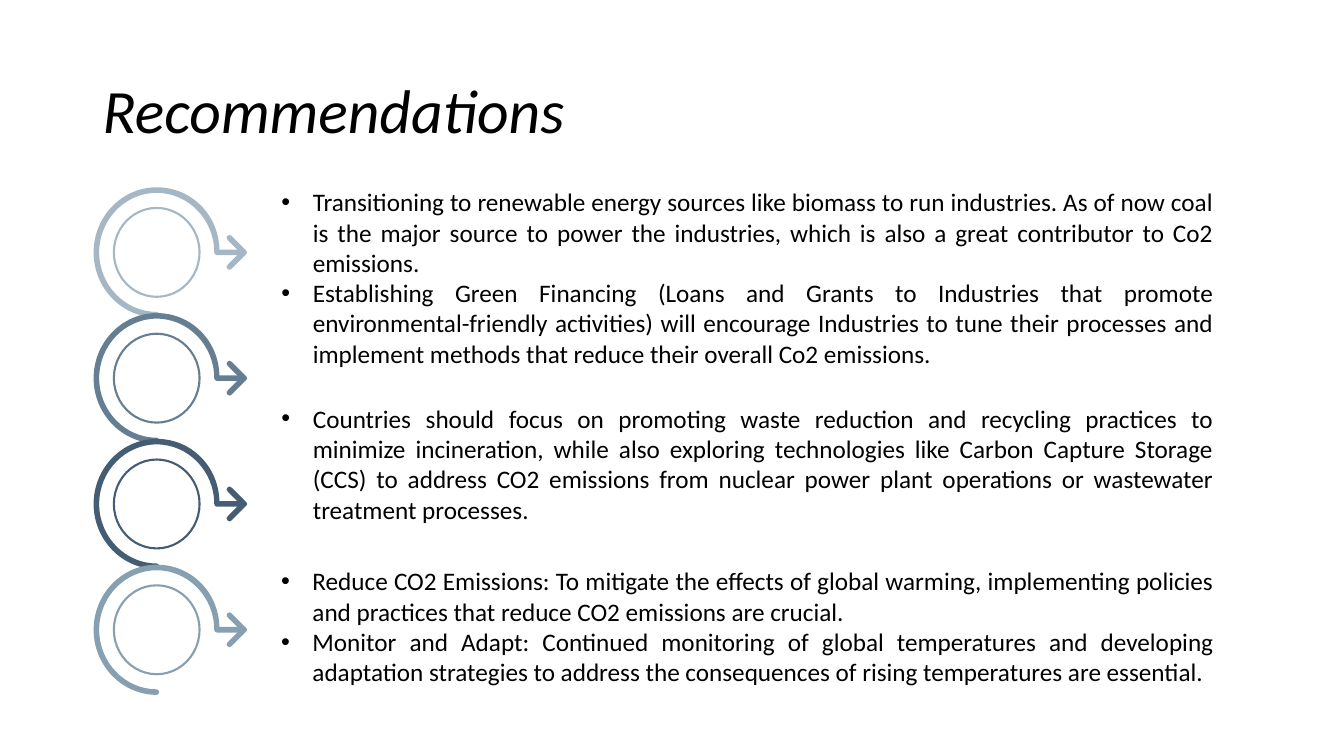
from itertools import chain
from math import cos, radians, sin

from lxml.etree import SubElement
from pptx import Presentation
from pptx.dml.color import RGBColor
from pptx.enum.shapes import MSO_SHAPE
from pptx.enum.text import MSO_ANCHOR as Anchor, MSO_AUTO_SIZE as AutoSize, PP_ALIGN as Align
from pptx.oxml.ns import qn
from pptx.util import Cm, Pt

COLORS = {
    "text": "000000",
    "steps": ["A5B7C5", "667E92", "445D73", "869FB1"],
}
FONT = "Calibri"
CENTER_X, FIRST_CENTER_Y, STEP_PITCH = 3.95, 6.36, 3.17
HALF_ARROWHEAD = [
    (2.28, 0), (2.26, -0.04), (1.89, -0.41), (1.84, -0.44), (1.79, -0.42),
    (1.76, -0.37), (1.79, -0.31), (2.04, -0.06), (2.12, 0),
]
RECOMMENDATIONS = [
    ((6.84, 4.58, 24, 4.95), [
        "Transitioning to renewable energy sources like biomass to run industries. "
        "As of now coal is the major source to power the industries, which is also "
        "a great contributor to Co2 emissions.",
        "Establishing Green Financing (Loans and Grants to Industries that promote "
        "environmental-friendly activities) will encourage Industries to tune their "
        "processes and implement methods that reduce their overall Co2 emissions.",
    ]),
    ((6.84, 10.03, 24, 4.11), [
        "Countries should focus on promoting waste reduction and recycling practices "
        "to minimize incineration, while also exploring technologies like Carbon "
        "Capture Storage (CCS) to address CO2 emissions from nuclear power plant "
        "operations or wastewater treatment processes.",
    ]),
    ((6.83, 14.13, 24.02, 3.33), [
        "Reduce CO2 Emissions: To mitigate the effects of global warming, "
        "implementing policies and practices that reduce CO2 emissions are crucial.",
        "Monitor and Adapt: Continued monitoring of global temperatures and "
        "developing adaptation strategies to address the consequences of rising "
        "temperatures are essential.",
    ]),
]


def quarter(radius_x, radius_y, start, turn):
    def around(angle, lean):
        a = radians(angle)
        return radius_x * (cos(a) - lean * sin(a)), radius_y * (sin(a) + lean * cos(a))

    end = start + 90 * turn
    return [around(start, 0.55 * turn), around(end, -0.55 * turn), around(end, 0)]


def curl_outline():
    outer = [quarter(1.59, 1.64, angle, 1) for angle in (90, 180)]
    shoulder = [(0.87, -1.64), (1.56, -0.95), (1.58, -0.07)]
    stem = [[(2.12, -0.07)], [(2.12, 0.07)], [(1.52, 0.07)]]
    corner = [(1.48, 0.07), (1.45, 0.04), (1.45, 0)]
    inner = [quarter(1.45, 1.5, angle, -1) for angle in (0, -90, -180)]
    cap = [[(0.03, 1.5), (0.06, 1.53), (0.06, 1.57)],
           [(0.06, 1.61), (0.03, 1.64), (0, 1.64)]]
    return [[(0, 1.64)], *outer, shoulder, *stem, corner, *inner, *cap]


def arrowhead_outline():
    lower_half = [(x, -y) for x, y in HALF_ARROWHEAD[-2:0:-1]]
    return [[point] for point in HALF_ARROWHEAD + lower_half]


class RecommendationSlide:
    def __init__(self, slide):
        self.slide = slide

    def place(self, placeholder, box, anchor):
        placeholder.left, placeholder.top, placeholder.width, placeholder.height = map(Cm, box)
        frame = placeholder.text_frame
        frame.word_wrap = True
        frame.auto_size = AutoSize.NONE
        frame.vertical_anchor = anchor
        return frame

    def style(self, paragraph, size, italic=False):
        for run in paragraph.runs:
            font = run.font
            font.name, font.size = FONT, Pt(size)
            font.bold, font.italic = False, italic
            font.color.rgb = RGBColor.from_string(COLORS["text"])

    def title(self, text, box):
        frame = self.place(self.slide.shapes.title, box, Anchor.MIDDLE)
        frame.text = text
        heading = frame.paragraphs[0]
        heading.alignment = Align.LEFT
        heading.line_spacing = 0.9
        self.style(heading, 44, italic=True)

    def bullets(self, placeholder, box, items):
        frame = self.place(placeholder, box, Anchor.TOP)
        frame.text = "\n".join(items)
        for item in frame.paragraphs:
            item.alignment = Align.JUSTIFY
            item.space_before = Pt(0)
            properties = item._p.get_or_add_pPr()
            properties.set("marL", str(Cm(0.79)))
            properties.set("indent", str(Cm(-0.79)))
            SubElement(properties, qn("a:buFont")).set("typeface", "Arial")
            SubElement(properties, qn("a:buChar")).set("char", "•")
            self.style(item, 18)

    def ring(self, center_y, color):
        ring = self.slide.shapes.add_shape(
            MSO_SHAPE.OVAL, Cm(CENTER_X - 1.08), Cm(center_y - 1.12), Cm(2.16), Cm(2.24))
        ring.shadow.inherit = False
        ring.fill.background()
        ring.line.color.rgb = RGBColor.from_string(color)
        ring.line.width = Pt(1.5)

    def outline(self, segments, center_y, color):
        points = [(Cm(CENTER_X + x), Cm(center_y + y)) for x, y in chain(*segments)]
        builder = self.slide.shapes.build_freeform(*points[0])
        builder.add_line_segments(points[1:], close=True)
        solid = builder.convert_to_shape()
        self.bend(solid, segments[1:])
        solid.shadow.inherit = False
        solid.fill.solid()
        solid.fill.fore_color.rgb = RGBColor.from_string(color)
        solid.line.fill.background()

    def bend(self, solid, segments):
        contour = next(solid._element.iter(qn("a:path")))
        stops = iter(contour.findall(qn("a:lnTo")))
        for segment in segments:
            first, *others = [next(stops) for _ in segment]
            if others:
                first.addprevious(curve := SubElement(contour, qn("a:cubicBezTo")))
                for stop in (first, *others):
                    curve.append(stop[0])
                    contour.remove(stop)

    def step(self, center_y, color):
        self.ring(center_y, color)
        self.outline(curl_outline(), center_y, color)
        self.outline(arrowhead_outline(), center_y, color)


def main():
    deck = Presentation()
    deck.slide_width, deck.slide_height = Cm(33.87), Cm(19.05)
    slide = deck.slides.add_slide(deck.slide_layouts.get_by_name("Comparison"))
    page = RecommendationSlide(slide)
    page.title("Recommendations", (2.33, 1.01, 29.21, 3.68))
    for number, color in enumerate(COLORS["steps"]):
        page.step(FIRST_CENTER_Y + number * STEP_PITCH, color)
    *bodies, spare = list(slide.placeholders)[1:]
    for body, (box, items) in zip(bodies, RECOMMENDATIONS):
        page.bullets(body, box, items)
    spare.element.getparent().remove(spare.element)
    deck.save("out.pptx")


if __name__ == "__main__":
    main()
